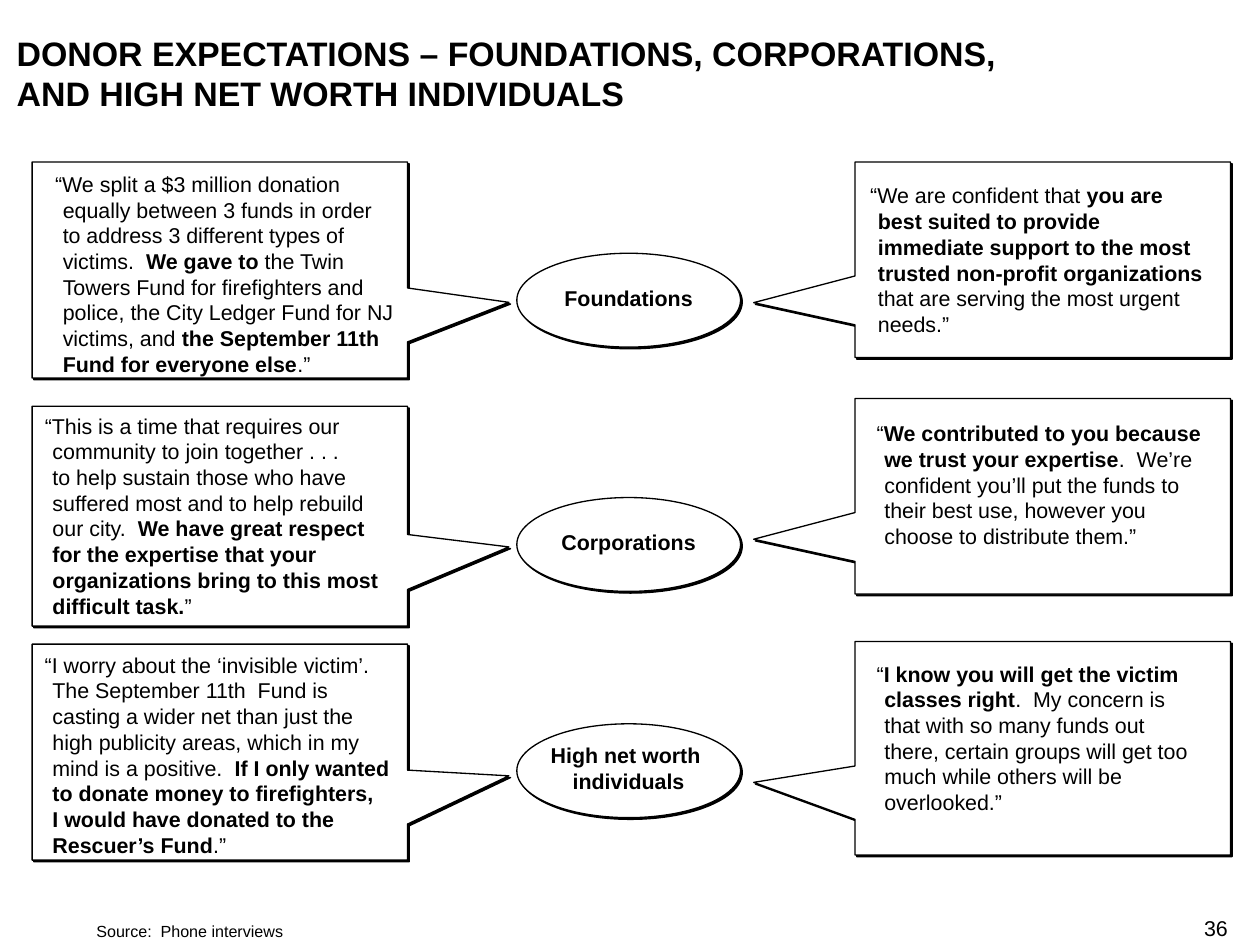
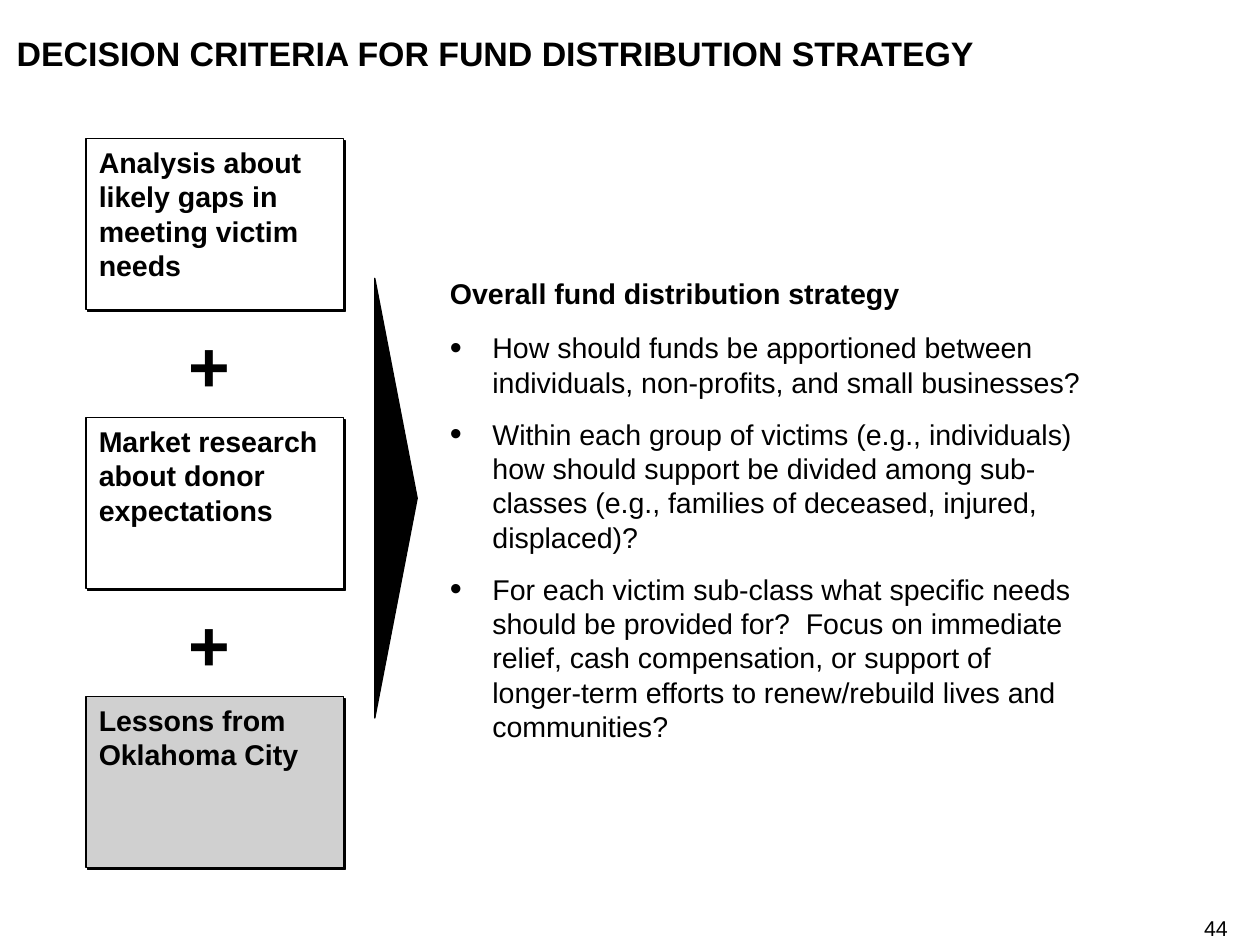
from lxml import etree
from pptx import Presentation
from pptx.dml.color import RGBColor
from pptx.enum.shapes import MSO_SHAPE
from pptx.enum.text import MSO_ANCHOR, PP_ALIGN
from pptx.oxml.ns import qn
from pptx.util import Inches, Pt

ELLIPSE, CALLOUT = MSO_SHAPE.OVAL, MSO_SHAPE.RECTANGULAR_CALLOUT
RECT, TRIANGLE = MSO_SHAPE.RECTANGLE, MSO_SHAPE.ISOSCELES_TRIANGLE
TOP, MIDDLE, BOTTOM = MSO_ANCHOR.TOP, MSO_ANCHOR.MIDDLE, MSO_ANCHOR.BOTTOM
LEFT, CENTER, RIGHT = PP_ALIGN.LEFT, PP_ALIGN.CENTER, PP_ALIGN.RIGHT

SLIDE_W, SLIDE_H = 9.8, 7.35
BLACK, WHITE, GREY = "000000", "FFFFFF", "D0D0D0"
FONT = "Arial"
NO_INSET, INSET = (0, 0, 0, 0), (0.1, 0.05, 0.1, 0.05)


def color(hex_code):
    return RGBColor.from_string(hex_code)


def add_xml(parent, tag, **attributes):
    return etree.SubElement(parent, qn(tag), attributes)


def indent(paragraph, margin, hanging):
    properties = paragraph._p.get_or_add_pPr()
    properties.set("marL", str(Inches(margin)))
    properties.set("indent", str(-Inches(hanging)))
    return properties


def write(frame, paragraphs, size, bold=False, align=LEFT, anchor=TOP,
          inset=NO_INSET, wrap=True, hanging=0, margin=None, bullet=None,
          tabs=(), after=0):
    """Fill a frame; ** switches bold and a newline breaks the line."""
    sides = ("margin_left", "margin_top", "margin_right", "margin_bottom")
    layout = dict(zip(sides, map(Inches, inset)))
    layout.update(word_wrap=wrap, vertical_anchor=anchor)
    for name, value in layout.items():
        setattr(frame, name, value)
    for number, text in enumerate(paragraphs):
        paragraph = frame.add_paragraph() if number else frame.paragraphs[0]
        properties = indent(paragraph, hanging if margin is None else margin,
                            hanging)
        if bullet:
            add_xml(add_xml(properties, "a:buClr"), "a:srgbClr", val=BLACK)
            add_xml(properties, "a:buSzPct", val="120000")
            add_xml(properties, "a:buFont", typeface=FONT)
            add_xml(properties, "a:buChar", char=bullet)
        if tabs:
            stops = add_xml(properties, "a:tabLst")
            for stop in tabs:
                add_xml(stops, "a:tab", pos=str(Inches(stop)), algn="l")
        paragraph.alignment = align
        paragraph.space_after = Pt(after)
        for part, words in enumerate(text.split("**")):
            for row, line in enumerate(words.split("\n")):
                if row:
                    paragraph.add_line_break()
                if not line:
                    continue
                run = paragraph.add_run()
                run.text = line
                style = {"name": FONT, "size": Pt(size),
                         "bold": bold or part % 2 == 1}
                for name, value in style.items():
                    setattr(run.font, name, value)
                run.font.color.rgb = color(BLACK)


def add_text(slide, box, paragraphs, size, **style):
    area = slide.shapes.add_textbox(*map(Inches, box))
    write(area.text_frame, paragraphs, size, **style)


def add_panel(slide, kind, box, fill=WHITE, shadow=True):
    """Outlined shape with a hard shadow to the lower right."""
    panel = slide.shapes.add_shape(kind, *map(Inches, box))
    panel.fill.solid()
    panel.fill.fore_color.rgb = color(fill)
    panel.line.color.rgb = color(BLACK)
    panel.line.width = Pt(0.75)
    panel.shadow.inherit = False
    if shadow:
        effects = panel._element.spPr.find(qn("a:effectLst"))
        cast = add_xml(effects, "a:outerShdw", dist=str(Pt(1.4)),
                       dir="2700000", algn="ctr", rotWithShape="0")
        add_xml(cast, "a:srgbClr", val=BLACK)
    return panel


def start_slide(deck, title, page):
    slide = deck.slides.add_slide(deck.slide_layouts[6])
    slide.background.fill.solid()
    slide.background.fill.fore_color.rgb = color(WHITE)
    add_text(slide, (0.13, 0.25, SLIDE_W - 0.37, 0.63), [title], 19, bold=True)
    add_text(slide, (SLIDE_W - 0.65, SLIDE_H - 0.23, 0.4, 0.2), [page], 12,
             align=RIGHT)
    return slide


def add_quote(slide, box, tip, offset, text_width, quote, mirrored):
    """Speech callout, with its quote placed from the callout's corner."""
    left, top, _, height = box
    callout = add_panel(slide, CALLOUT, box)
    callout.adjustments[0], callout.adjustments[1] = -0.77, tip
    if mirrored:
        callout._element.spPr.xfrm.set("flipH", "1")
    add_text(slide, (left + offset[0], top + offset[1], text_width, height),
             [quote], 12, inset=INSET, hanging=0.06)


def add_donor(slide, top, label):
    donor = add_panel(slide, ELLIPSE, (4.02, top, 1.74, 0.73))
    write(donor.text_frame, [label], 12, bold=True, align=CENTER,
          anchor=MIDDLE, inset=(0, 0, 0, 0.04), wrap=False)


# Each donor: ellipse top, label, then the left and the right quote as
# (top, height, tip, text offset, text width, words)
DONORS = [
    (1.97, "Foundations",
     (1.26, 1.68, 0.15, (0.08, 0.02), 2.85,
      "“We split a $3 million donation equally between 3 funds in order to "
      "address 3 different types of victims.  **We gave to** the Twin Towers "
      "Fund for firefighters and police, the City Ledger Fund for NJ victims, "
      "and **the September 11th Fund for everyone else**.”"),
     (1.26, 1.52, 0.22, (0.02, 0.11), 2.85,
      "“We are confident that **you are best suited to provide immediate "
      "support to the most trusted non-profit organizations **that are "
      "serving the most urgent needs.”")),
    (3.87, "Corporations",
     (3.16, 1.71, 0.14, (0, 0), 2.85,
      "“This is a time that requires our community to join together . . . \n"
      "to help sustain those who have suffered most and to help rebuild our "
      "city.  **We have great respect for the expertise that your "
      "organizations bring to this most difficult task.**”"),
     (3.1, 1.52, 0.22, (0.07, 0.12), 2.85,
      "“**We contributed to you because we trust your expertise**.  We’re "
      "confident you’ll put the funds to their best use, however you choose "
      "to distribute them.”")),
    (5.63, "High net worth \nindividuals",
     (5.01, 1.68, 0.11, (0, 0.01), 2.93,
      "“I worry about the ‘invisible victim’.  The September 11th  Fund is "
      "casting a wider net than just the high publicity areas, which in my "
      "mind is a positive.  **If I only wanted to donate money to "
      "firefighters, \nI would have donated to the Rescuer’s Fund**.”"),
     (4.99, 1.66, 0.16, (0.07, 0.1), 2.75,
      "“**I know you will get the victim classes right**.  My concern is "
      "that with so many funds out there, certain groups will get too much "
      "while others will be overlooked.”")),
]


def donor_slide(deck):
    slide = start_slide(deck, "DONOR EXPECTATIONS – FOUNDATIONS, CORPORATIONS, "
                        "\nAND HIGH NET WORTH INDIVIDUALS", "36")
    for donor_top, label, *quotes in DONORS:
        add_donor(slide, donor_top, label)
        for left, mirrored, quote in zip((0.25, 6.65), (True, False), quotes):
            top, height, *content = quote
            add_quote(slide, (left, top, 2.92, height), *content, mirrored)
    # Source line
    add_text(slide, (0.13, SLIDE_H - 0.18, 8.93, 0.15),
             ["\tSource:\tPhone interviews"], 9, anchor=BOTTOM,
             hanging=0.62, tabs=(0, 0.98))


INPUTS = [("Analysis about likely gaps in meeting victim needs", WHITE),
          ("Market research about donor expectations", WHITE),
          ("Lessons from Oklahoma City", GREY)]
QUESTIONS = [
    "How should funds be apportioned between individuals, non-profits, and "
    "small businesses?",
    "Within each group of victims (e.g., individuals) how should support be "
    "divided among sub-classes (e.g., families of deceased, injured, "
    "displaced)?",
    "For each victim sub-class what specific needs should be provided for?  "
    "Focus on immediate relief, cash compensation, or support of longer-term "
    "efforts to renew/rebuild lives and communities?",
]


def add_inputs(slide, left, top, width, height, step):
    """Column of equal boxes joined by plus signs."""
    for number, (text, fill) in enumerate(INPUTS):
        box_top = top + number * step
        panel = add_panel(slide, RECT, (left, box_top, width, height), fill)
        write(panel.text_frame, [text], 16, bold=True, inset=INSET)
        if number:
            add_text(slide, (left, box_top - 0.75, width - 0.08, 0.67), ["+"],
                     40, bold=True, align=CENTER)


def add_strategy(slide, left, top, width, height):
    """Heading above the bulleted questions."""
    add_text(slide, (left, top, width, 0.27),
             ["Overall fund distribution strategy"], 16, bold=True)
    add_text(slide, (left, top + 0.42, width, height - 0.42), QUESTIONS, 16,
             hanging=0.33, margin=0.33, bullet="•", after=10)


def criteria_slide(deck):
    slide = start_slide(
        deck, "DECISION CRITERIA FOR FUND DISTRIBUTION STRATEGY", "44")
    add_inputs(slide, 0.67, 1.08, 2, 1.33, 2.17)
    # Wedge that leads from the inputs to the strategy
    wedge = add_panel(slide, TRIANGLE, (1.37, 3.71, 3.42, 0.33), BLACK,
                      shadow=False)
    wedge.rotation = 90
    add_strategy(slide, 3.5, 2.15, 4.92, 3.63)


def main():
    deck = Presentation()
    deck.slide_width, deck.slide_height = Inches(SLIDE_W), Inches(SLIDE_H)
    donor_slide(deck)
    criteria_slide(deck)
    deck.save("out.pptx")


if __name__ == "__main__":
    main()
